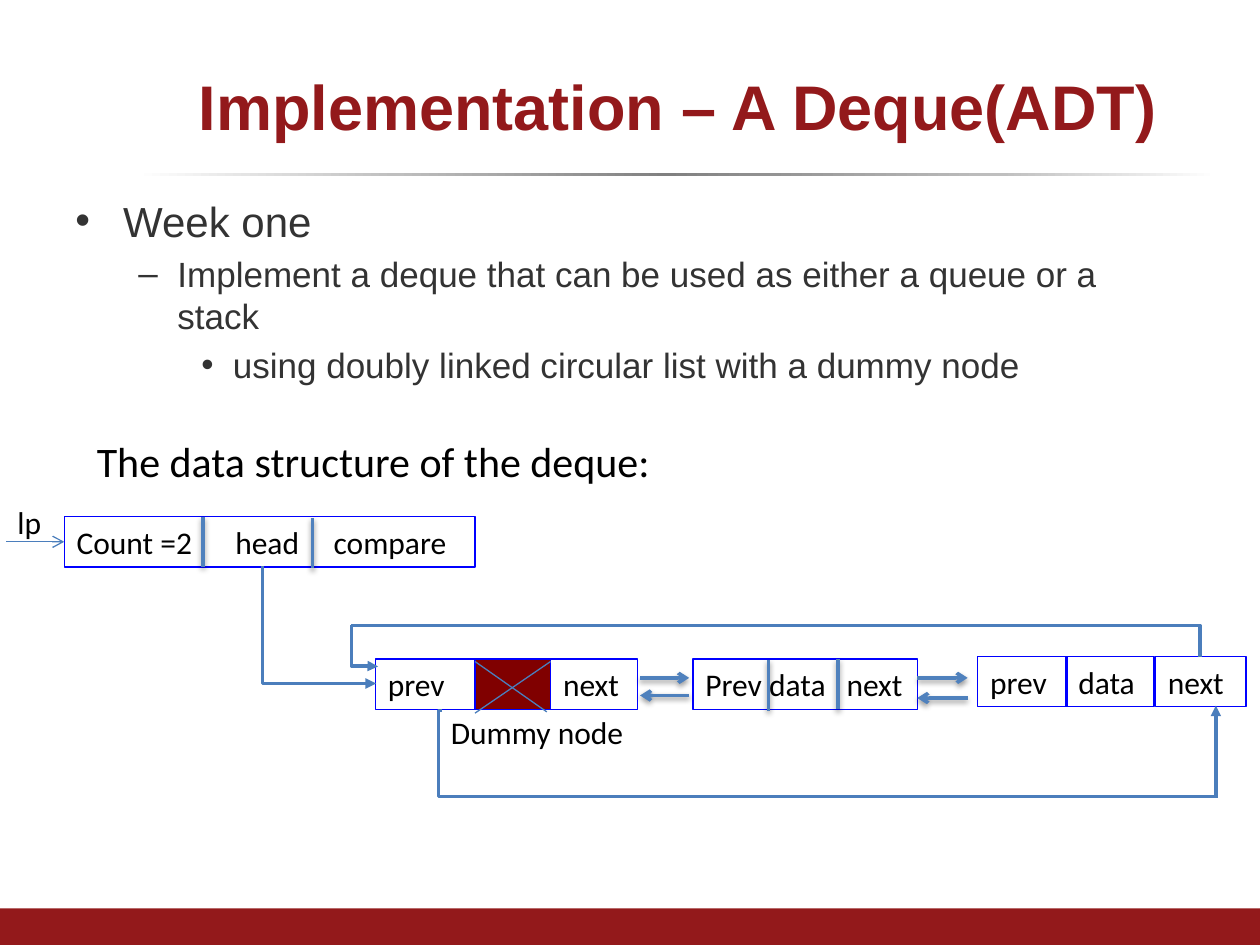
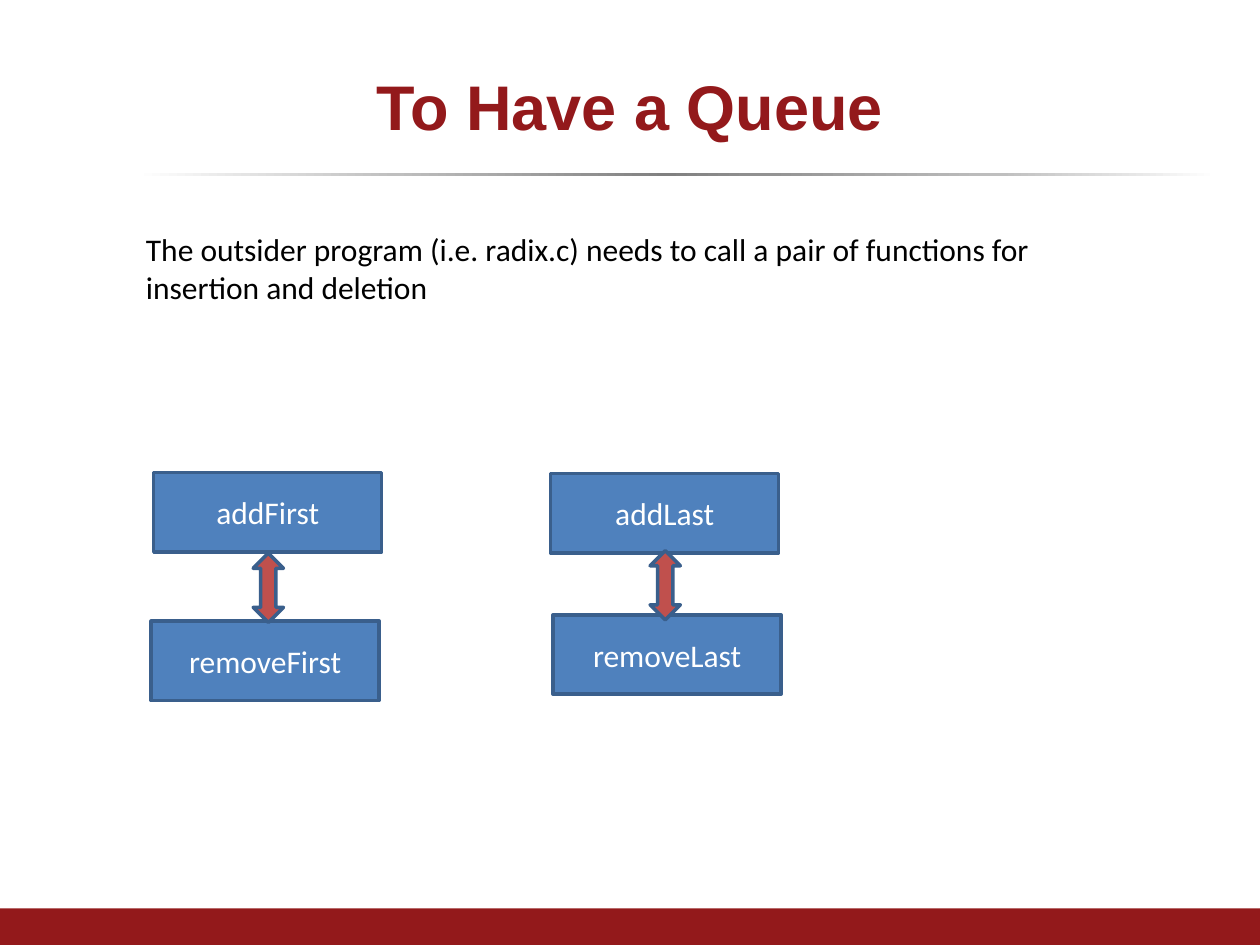
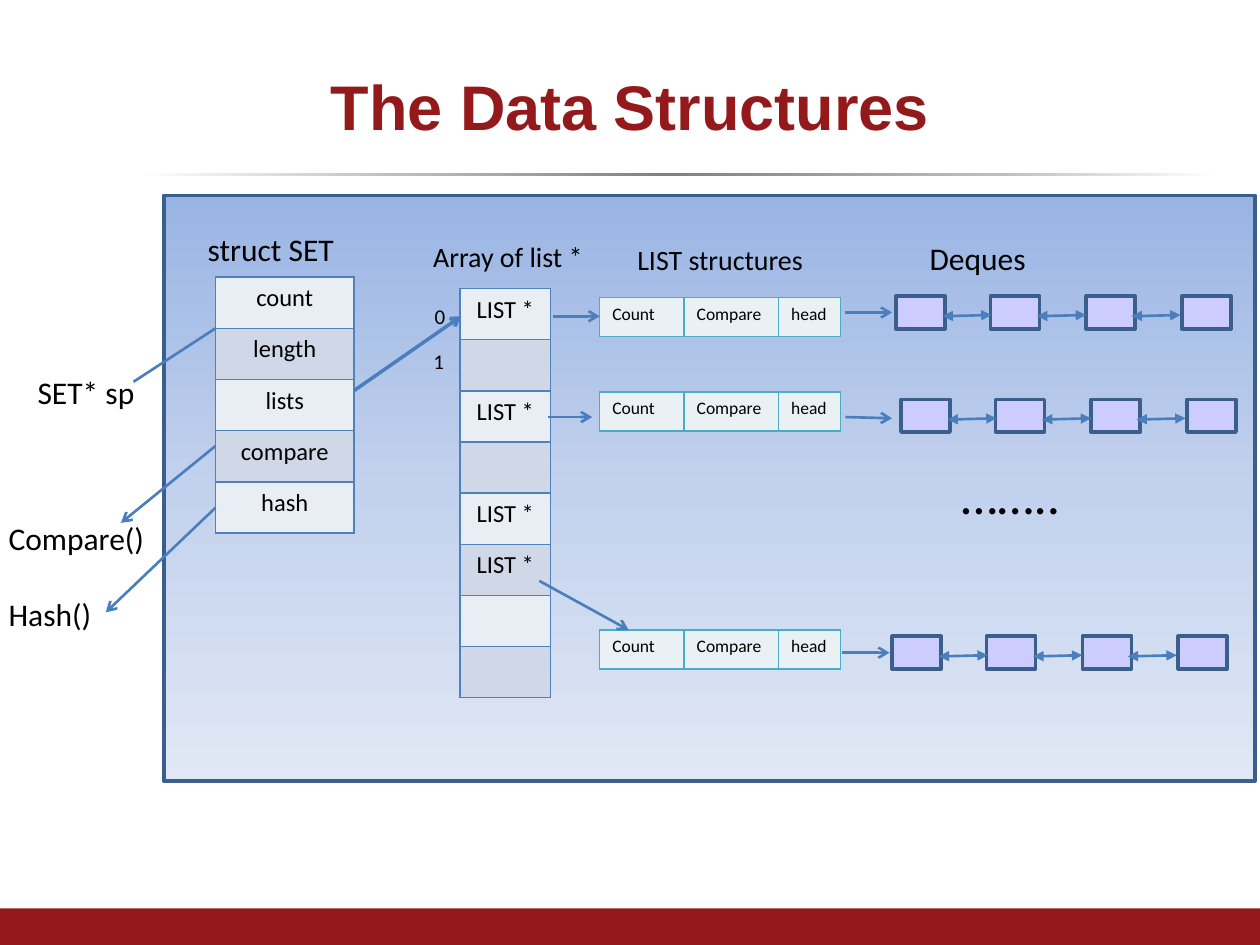
from dataclasses import dataclass

from lxml.etree import SubElement
from pptx import Presentation
from pptx.dml.color import RGBColor
from pptx.enum.shapes import MSO_CONNECTOR as Link, MSO_SHAPE as Shape
from pptx.enum.text import MSO_ANCHOR as Anchor, MSO_AUTO_SIZE as AutoSize, PP_ALIGN as Align
from pptx.oxml.ns import qn
from pptx.util import Emu, Pt

PX = 9144  # 100 px to the inch
TITLE_ONLY = 5


@dataclass(frozen=True)
class Theme:
    # Fonts
    heading_font: str = "Arial"
    text_font: str = "Calibri"
    # Colours
    brand: str = "93191B"
    body: str = "333333"
    ink: str = "000000"
    white: str = "FFFFFF"
    blue: str = "4F81BD"
    link: str = "4B7EBC"
    outline: str = "3A5F8C"
    cell_line: str = "0000FF"
    dummy: str = "800000"
    red: str = "C0504D"
    node: str = "CCCCFF"
    teal: str = "4BACC6"
    teal_tint: str = "E9F1F5"
    bands: tuple = ("E9EDF4", "D0D8E8")
    rule: tuple = ((0, "FFFFFF"), (24, "BFBFBF"), (49, "808080"), (80, "BFBFBF"), (100, "FFFFFF"))
    panel: tuple = ((0, "9AB5E4"), (50, "C2D1ED"), (100, "E1E8F5"))
    # Type sizes
    title: int = 36
    dots: int = 30
    large: int = 24
    medium: int = 20
    normal: int = 18
    label: int = 16
    cell: int = 14
    index: int = 12
    small: int = 10


THEME = Theme()


def px(*values):
    return [Emu(value * PX) for value in values]


def rgb(colour):
    return RGBColor.from_string(colour)


# Text

def add_span(para, text, size, colour=THEME.ink, font=THEME.text_font, bold=False):
    span = para.add_run()
    span.text = text
    span.font.name, span.font.size, span.font.bold = font, Pt(size), bold
    span.font.color.rgb = rgb(colour)


def set_tabs(para, stops):
    tab_list = SubElement(para._p.get_or_add_pPr(), qn("a:tabLst"))
    for stop in stops:
        SubElement(tab_list, qn("a:tab"), pos=str(stop * PX), algn="l")


def set_bullet(para, mark, left, hanging):
    props = para._p.get_or_add_pPr()
    props.set("marL", str(left * PX))
    props.set("indent", str(-hanging * PX))
    SubElement(props, qn("a:buFont"), typeface=THEME.heading_font)
    SubElement(props, qn("a:buChar"), char=mark)


def add_text(page, at, *lines, size=THEME.normal, gap=0):
    frame = page.shapes.add_textbox(*px(*at)).text_frame
    frame.word_wrap = True
    for number, line in enumerate(lines):
        para = frame.add_paragraph() if number else frame.paragraphs[0]
        if number:
            para.space_before = Pt(gap)
        add_span(para, line, size)


def add_bullets(page, at, items):
    frame = page.shapes.add_textbox(*px(*at)).text_frame
    frame.word_wrap = True
    for number, (text, size, mark, left, hanging) in enumerate(items):
        para = frame.add_paragraph() if number else frame.paragraphs[0]
        para.space_before = Pt(size / 5)
        set_bullet(para, mark, left, hanging)
        add_span(para, text, size, THEME.body, THEME.heading_font)


# Shapes

def add_box(page, at, fill=None, line=None, width=2, kind=Shape.RECTANGLE):
    box = page.shapes.add_shape(kind, *px(*at))
    box.shadow.inherit = False
    if fill:
        box.fill.solid()
        box.fill.fore_color.rgb = rgb(fill)
    else:
        box.fill.background()
    if line:
        box.line.color.rgb = rgb(line)
        box.line.width = Pt(width)
    else:
        box.line.fill.background()
    return box


def add_gradient(page, at, stops, angle, line=None):
    box = add_box(page, at, line=line)
    box.fill.gradient()
    box.fill.gradient_angle = angle
    stop_list = box.element.spPr.find(".//" + qn("a:gsLst"))
    stop_list.clear()
    for place, colour in stops:
        stop = SubElement(stop_list, qn("a:gs"), pos=str(place * 1000))
        SubElement(stop, qn("a:srgbClr"), val=colour)


def add_cell(page, at, text="", fill=None, tabs=()):
    box = add_box(page, at, fill, THEME.cell_line, 0.75)
    frame = box.text_frame
    frame.vertical_anchor = Anchor.TOP
    para = frame.paragraphs[0]
    para.alignment = Align.LEFT
    if tabs:
        set_tabs(para, tabs)
    if text:
        add_span(para, text, THEME.normal)


def add_function(page, left, top, name):
    box = add_box(page, (left, top, 181, 63), THEME.blue, THEME.outline)
    box.text_frame.vertical_anchor = Anchor.MIDDLE
    para = box.text_frame.paragraphs[0]
    para.alignment = Align.CENTER
    add_span(para, name, THEME.normal, THEME.white)


# Lines

def add_line(page, start, end, width=1.5, colour=THEME.link, head=None, tail=None,
             shadow=False, kind=Link.STRAIGHT):
    line = page.shapes.add_connector(kind, *px(*start, *end))
    line.line.color.rgb = rgb(colour)
    line.line.width = Pt(width)
    for tag, style in (("a:headEnd", head), ("a:tailEnd", tail)):
        if style:
            SubElement(line.get_or_add_ln(), qn(tag), type=style)
    effects = SubElement(line.element.spPr, qn("a:effectLst"))
    if shadow:
        outer = SubElement(effects, qn("a:outerShdw"), blurRad=str(Pt(3.1)), dist=str(Pt(1.6)),
                           dir="5400000", rotWithShape="0")
        black = SubElement(outer, qn("a:srgbClr"), val=THEME.ink)
        SubElement(black, qn("a:alpha"), val="38000")
    return line


def add_raised(page, start, end, tail=None):
    add_line(page, start, end, 2, THEME.blue, tail=tail, shadow=True)


def add_elbow(page, at, preset, turn=0, flip=None, bend=None, tail=None):
    left, top, width, height = at
    line = add_line(page, (left, top), (left + width, top + height), 2, tail=tail, kind=Link.ELBOW)
    frame = line.element.spPr.find(qn("a:xfrm"))
    frame.set("rot", str(turn * 60000))
    if flip:
        frame.set(flip, "1")
    outline = line.element.spPr.find(qn("a:prstGeom"))
    outline.set("prst", preset)
    if bend is not None:
        guides = outline.find(qn("a:avLst"))
        if guides is None:
            guides = SubElement(outline, qn("a:avLst"))
        SubElement(guides, qn("a:gd"), name="adj1", fmla=f"val {bend}")


# Tables

def add_grid(page, at, rows, size, line, fills, widths=None, align=Align.CENTER):
    frame = page.shapes.add_table(len(rows), len(rows[0]), *px(*at))
    table = frame.table
    table.first_row = table.horz_banding = False
    for column, width in zip(table.columns, widths or ()):
        column.width = px(width)[0]
    for r, row in enumerate(rows):
        for c, text in enumerate(row):
            cell = table.cell(r, c)
            props = cell._tc.get_or_add_tcPr()
            for side in "LRTB":
                border = SubElement(props, qn(f"a:ln{side}"), w=str(Pt(1)))
                paint = SubElement(border, qn("a:solidFill"))
                SubElement(paint, qn("a:srgbClr"), val=line)
            cell.fill.solid()
            cell.fill.fore_color.rgb = rgb(fills[r % len(fills)])
            if text:
                para = cell.text_frame.paragraphs[0]
                para.alignment = align
                add_span(para, text, size)


# Shared page frame

def add_page(deck, title, title_left=50):
    page = deck.slides.add_slide(deck.slide_layouts[TITLE_ONLY])
    add_gradient(page, (108, 137, 858, 3), THEME.rule, 0)
    add_box(page, (0, 721, 1000, 29), THEME.brand)
    heading = page.shapes.title
    heading.left, heading.top, heading.width, heading.height = px(title_left, 30, 900, 107)
    frame = heading.text_frame
    frame.auto_size = AutoSize.NONE
    frame.vertical_anchor = Anchor.MIDDLE
    para = frame.paragraphs[0]
    para.alignment = Align.CENTER
    add_span(para, title, THEME.title, THEME.brand, THEME.heading_font, True)
    return page


# Slides

def build_deque(deck):
    page = add_page(deck, "Implementation – A Deque(ADT)", 88)
    add_bullets(page, (50, 150, 900, 190), [
        ("Week one", THEME.large, "•", 38, 38),
        ("Implement a deque that can be used as either a queue or a stack", THEME.medium, "–", 81, 31),
        ("using doubly linked circular list with a dummy node", THEME.medium, "•", 125, 25),
    ])
    add_text(page, (67, 341, 834, 50), "The data structure of the deque:", size=THEME.large)

    # List header
    add_text(page, (4, 394, 79, 40), "lp")
    add_line(page, (5, 430), (51, 430), 0.75, tail="arrow")
    add_cell(page, (51, 410, 326, 40), "Count =2\thead\tcompare", tabs=(126, 204))

    # Nodes
    add_text(page, (348, 561, 157, 40), "Dummy node")
    add_cell(page, (377, 523, 60, 40), fill=THEME.dummy)
    for left, top, width, text in [(298, 523, 79, "prev"), (437, 523, 69, "next"),
                                   (776, 521, 71, "prev"), (846, 521, 70, "data"),
                                   (917, 521, 72, "next")]:
        add_cell(page, (left, top, width, 40), text)
    add_cell(page, (550, 523, 178, 40), "Prev data\tnext", tabs=(112,))
    add_line(page, (377, 525), (434, 565), 0.75)
    add_line(page, (437, 525), (377, 566), 0.75)
    for x, top in [(161, 410), (248, 411), (610, 524), (665, 523)]:
        add_raised(page, (x, top), (x, top + 40))

    # Links between neighbours
    for left, right, forward, back in [(508, 547, 538, 552), (728, 768, 538, 554)]:
        add_raised(page, (left, forward), (right, forward), "arrow")
        add_raised(page, (right, back), (left, back), "arrow")

    # Head pointer and the two circular links
    add_elbow(page, (207, 451, 93, 90), "bentConnector2", 270, "flipH", tail="triangle")
    add_elbow(page, (273, 502, 33, 21), "bentConnector3", 270, "flipH", 99100, "triangle")
    add_elbow(page, (603, 172, 25, 674), "bentConnector2", 270, "flipV")
    add_elbow(page, (351, 564, 614, 68), "bentConnector3", bend=-500)
    add_line(page, (965, 633), (965, 560), 2, tail="triangle")


def build_queue(deck):
    page = add_page(deck, "To Have a Queue")
    add_text(page, (106, 178, 780, 101), "The outsider program (i.e. radix.c) needs to call "
             "a pair of functions for insertion and deletion")
    for left, top, name in [(122, 375, "addFirst"), (120, 493, "removeFirst"),
                            (439, 488, "removeLast"), (437, 376, "addLast")]:
        add_function(page, left, top, name)
    for left, top in [(201, 439), (516, 437)]:
        add_box(page, (left, top, 24, 55), THEME.red, THEME.outline, kind=Shape.UP_DOWN_ARROW)


def add_chain(page, left, top):
    for number in range(4):
        add_box(page, (left + number * 227 // 3, top, 39, 26), THEME.node, THEME.outline)
    for number in range(3):
        x = left + 37 + number * 75
        add_line(page, (x, top + 16), (x + 39, top + 15), head="triangle", tail="triangle")


def build_structures(deck):
    page = add_page(deck, "The Data Structures")
    add_gradient(page, (130, 155, 866, 465), THEME.panel, 270, THEME.outline)

    # Captions
    for at, text, size in [
        ((155, 178, 150, 40), "struct SET", THEME.normal),
        ((334, 185, 160, 37), "Array of list *", THEME.label),
        ((496, 188, 160, 37), "LIST structures", THEME.label),
        ((728, 185, 260, 40), "Deques", THEME.normal),
        ((335, 236, 31, 30), "0", THEME.index),
        ((334, 272, 31, 30), "1", THEME.index),
        ((20, 291, 150, 40), "SET* sp", THEME.normal),
        ((753, 362, 205, 61), "……..", THEME.dots),
    ]:
        add_text(page, at, text, size=size)
    add_text(page, (-3, 407, 134, 101), "Compare()", "Hash()", gap=22)

    # Set pointer, drawn behind the struct
    add_line(page, (106, 303), (201, 241), tail="arrow")

    # Struct and array
    fields = ["count", "length", "lists", "compare", "hash"]
    slots = ["LIST *", "", "LIST *", "", "LIST *", "LIST *", "", ""]
    for at, names in [((171, 220, 110, 203), fields), ((365, 229, 72, 325), slots)]:
        add_grid(page, at, [[name] for name in names], THEME.cell, THEME.blue, THEME.bands)

    # List structures with their deques
    for list_top, left, top, start, end in [
        (236, 711, 235, (671, 248), (708, 248)),
        (311, 715, 317, (671, 331), (708, 332)),
        (500, 708, 505, (668, 518), (706, 518)),
    ]:
        add_grid(page, (476, list_top, 191, 31), [["Count", "Compare", "head"]], THEME.small,
                 THEME.teal, (THEME.teal_tint,), (67, 75, 49), Align.LEFT)
        add_chain(page, left, top)
        add_line(page, start, end, tail="arrow")

    # Pointers out of the struct and the array
    add_line(page, (281, 310), (366, 251), 2, tail="arrow")
    for start, end in [((171, 354), (96, 415)), ((171, 403), (84, 486)), ((439, 251), (476, 251)),
                       ((435, 331), (470, 331)), ((428, 461), (499, 500))]:
        add_line(page, start, end, tail="arrow")


def main():
    deck = Presentation()
    deck.slide_width, deck.slide_height = px(1000, 750)
    build_deque(deck)
    build_queue(deck)
    build_structures(deck)
    deck.save("out.pptx")


if __name__ == "__main__":
    main()
